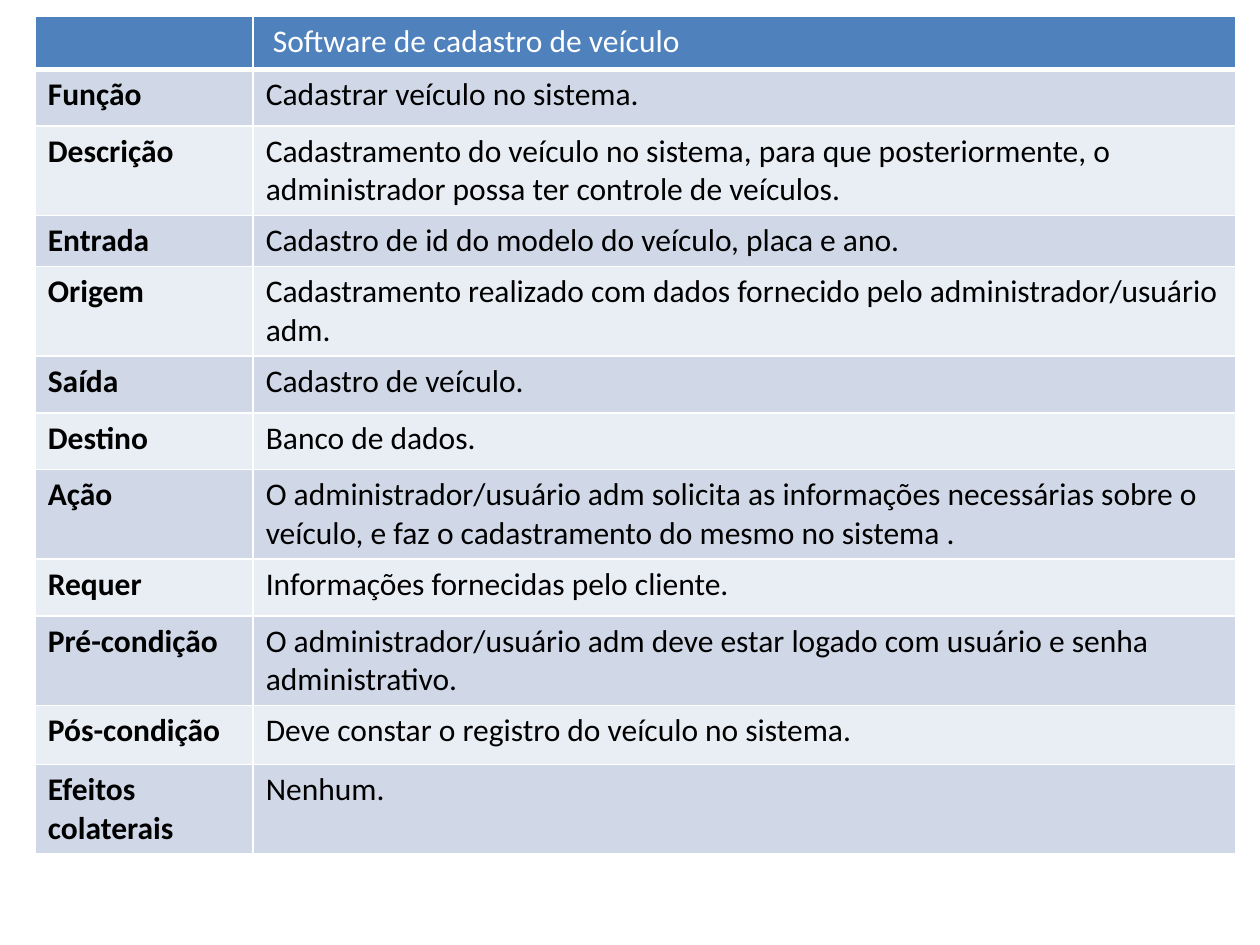
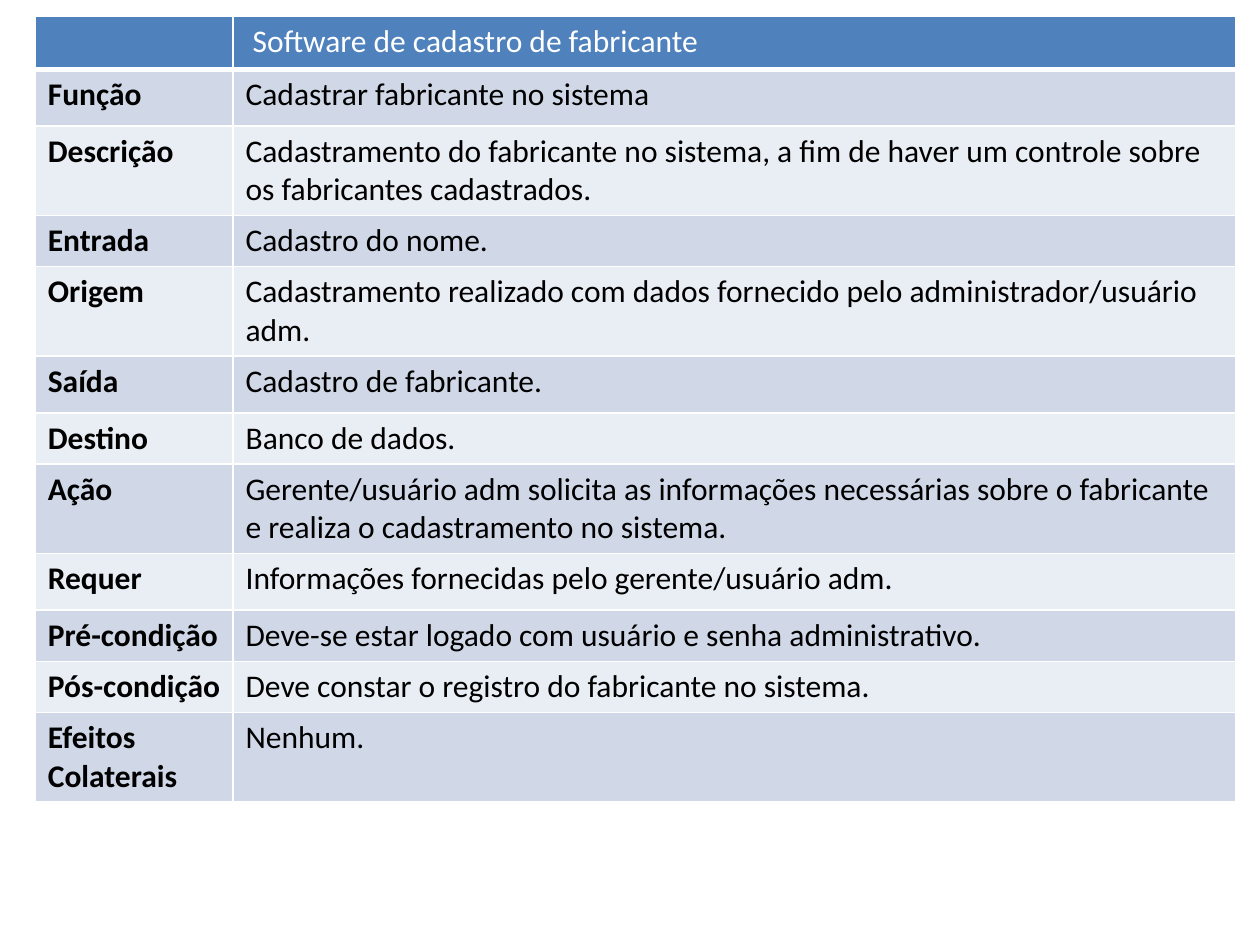
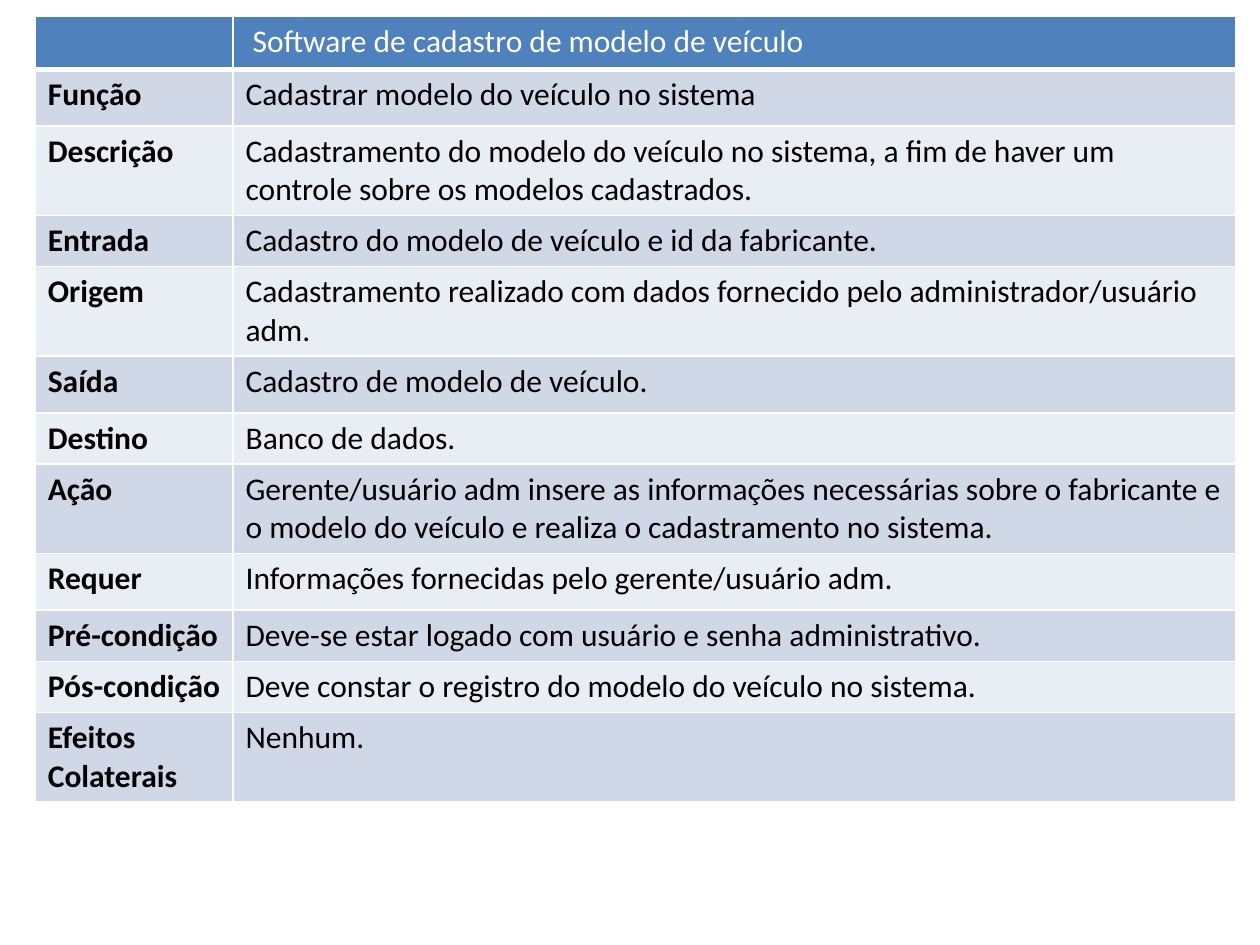
from dataclasses import dataclass

from lxml import etree
from pptx import Presentation, util as u
from pptx.dml.color import RGBColor
from pptx.oxml import ns


@dataclass(frozen=True)
class Theme:
    header: str = "4F81BD"
    bands: tuple = ("D0D8E8", "E9EDF4")
    header_text: str = "FFFFFF"
    body_text: str = "000000"
    border: str = "FFFFFF"
    font: str = "Calibri"
    size: int = 18
    thin: int = 1
    thick: int = 3


THEME = Theme()
SLIDE_WIDTH, SLIDE_HEIGHT = 10, 7.5
TABLE_LEFT, TABLE_TOP, TABLE_WIDTH = 0.28, 0.13, 9.53
HEADER, COMPACT, ROOMY, WIDE, DOUBLE = 0.42, 0.4, 0.45, 0.47, 0.71

LABELS = ("Função", "Descrição", "Entrada", "Origem", "Saída", "Destino",
          "Ação", "Requer", "Pré-condição", "Pós-condição")
ORIGIN = ("Cadastramento realizado com dados fornecido pelo "
          "administrador/usuário adm.")
DATABASE = "Banco de dados."
MANAGER_INFORMATION = "Informações fornecidas pelo gerente/usuário adm."
LOGGED_IN = "Deve-se estar logado com usuário e senha administrativo."
NO_EFFECTS = "Nenhum."


@dataclass(frozen=True)
class TableLayout:
    label_width: float
    row_heights: tuple
    last_label: str


VEHICLE_LAYOUT = TableLayout(
    1.73,
    (HEADER, ROOMY, DOUBLE, COMPACT, DOUBLE, ROOMY,
     ROOMY, DOUBLE, ROOMY, DOUBLE, WIDE, DOUBLE),
    "Efeitos\ncolaterais",
)
CATALOG_LAYOUT = TableLayout(
    1.57,
    (HEADER, ROOMY, DOUBLE, COMPACT, DOUBLE, ROOMY,
     COMPACT, DOUBLE, ROOMY, COMPACT, COMPACT, DOUBLE),
    "Efeitos\nColaterais",
)

REQUIREMENTS = (
    (VEHICLE_LAYOUT, " Software de cadastro de veículo", (
        "Cadastrar veículo no sistema.",
        "Cadastramento do veículo no sistema, para que posteriormente, o "
        "administrador possa ter controle de veículos.",
        "Cadastro de id do modelo do veículo, placa e ano.",
        ORIGIN,
        "Cadastro de veículo.",
        DATABASE,
        "O administrador/usuário adm solicita as informações necessárias sobre "
        "o veículo, e faz o cadastramento do mesmo no sistema .",
        "Informações fornecidas pelo cliente.",
        "O administrador/usuário adm deve estar logado com usuário e senha "
        "administrativo.",
        "Deve constar o registro do veículo no sistema.",
        NO_EFFECTS,
    )),
    (CATALOG_LAYOUT, " Software de cadastro de fabricante", (
        "Cadastrar fabricante no sistema",
        "Cadastramento do fabricante no sistema, a fim de haver um controle "
        "sobre os fabricantes cadastrados.",
        "Cadastro do nome.",
        ORIGIN,
        "Cadastro de fabricante.",
        DATABASE,
        "Gerente/usuário adm solicita as informações necessárias sobre o "
        "fabricante e realiza o cadastramento no sistema.",
        MANAGER_INFORMATION,
        LOGGED_IN,
        "Deve constar o registro do fabricante no sistema.",
        NO_EFFECTS,
    )),
    (CATALOG_LAYOUT, " Software de cadastro de modelo de veículo", (
        "Cadastrar modelo do veículo no sistema",
        "Cadastramento do modelo do veículo no sistema, a fim de haver um "
        "controle sobre os modelos cadastrados.",
        "Cadastro do modelo de veículo e id da fabricante.",
        ORIGIN,
        "Cadastro de modelo de veículo.",
        DATABASE,
        "Gerente/usuário adm insere as informações necessárias sobre o "
        "fabricante e o modelo do veículo e realiza o cadastramento no sistema.",
        MANAGER_INFORMATION,
        LOGGED_IN,
        "Deve constar o registro do modelo do veículo no sistema.",
        NO_EFFECTS,
    )),
)


def set_borders(cell, bottom_width):
    properties = cell._tc.get_or_add_tcPr()
    widths = {"lnL": THEME.thin, "lnR": THEME.thin,
              "lnT": THEME.thin, "lnB": bottom_width}
    for position, (side, width) in enumerate(widths.items()):
        line = etree.Element(ns.qn(f"a:{side}"), w=str(u.Pt(width)))
        fill = etree.SubElement(line, ns.qn("a:solidFill"))
        etree.SubElement(fill, ns.qn("a:srgbClr"), val=THEME.border)
        properties.insert(position, line)


def fill_cell(cell, content, fill, color, bold=False, bottom_width=THEME.thin):
    cell.text = content
    cell.fill.solid()
    cell.fill.fore_color.rgb = RGBColor.from_string(fill)
    set_borders(cell, bottom_width)
    for paragraph in cell.text_frame.paragraphs:
        paragraph.font.size = u.Pt(THEME.size)
        for run in paragraph.runs:
            run.font.name = THEME.font
            run.font.size = u.Pt(THEME.size)
            run.font.bold = bold
            run.font.color.rgb = RGBColor.from_string(color)


def add_requirement_table(slide, layout, title, descriptions):
    heights = layout.row_heights
    table = slide.shapes.add_table(
        len(heights), 2, u.Inches(TABLE_LEFT), u.Inches(TABLE_TOP),
        u.Inches(TABLE_WIDTH), u.Inches(sum(heights))).table
    table.horz_banding = False
    table.columns[0].width = u.Inches(layout.label_width)
    table.columns[1].width = u.Inches(TABLE_WIDTH - layout.label_width)
    for row, height in zip(table.rows, heights):
        row.height = u.Inches(height)

    for column, content in enumerate(("", title)):
        fill_cell(table.cell(0, column), content, THEME.header,
                  THEME.header_text, bottom_width=THEME.thick)
    labels = (*LABELS, layout.last_label)
    for index, (label, description) in enumerate(zip(labels, descriptions)):
        band = THEME.bands[index % 2]
        fill_cell(table.cell(index + 1, 0), label, band, THEME.body_text, bold=True)
        fill_cell(table.cell(index + 1, 1), description, band, THEME.body_text)


def main():
    presentation = Presentation()
    presentation.slide_width = u.Inches(SLIDE_WIDTH)
    presentation.slide_height = u.Inches(SLIDE_HEIGHT)
    blank_layout = presentation.slide_layouts.get_by_name("Blank")
    for layout, title, descriptions in REQUIREMENTS:
        slide = presentation.slides.add_slide(blank_layout)
        add_requirement_table(slide, layout, title, descriptions)
    presentation.save("out.pptx")


if __name__ == "__main__":
    main()
